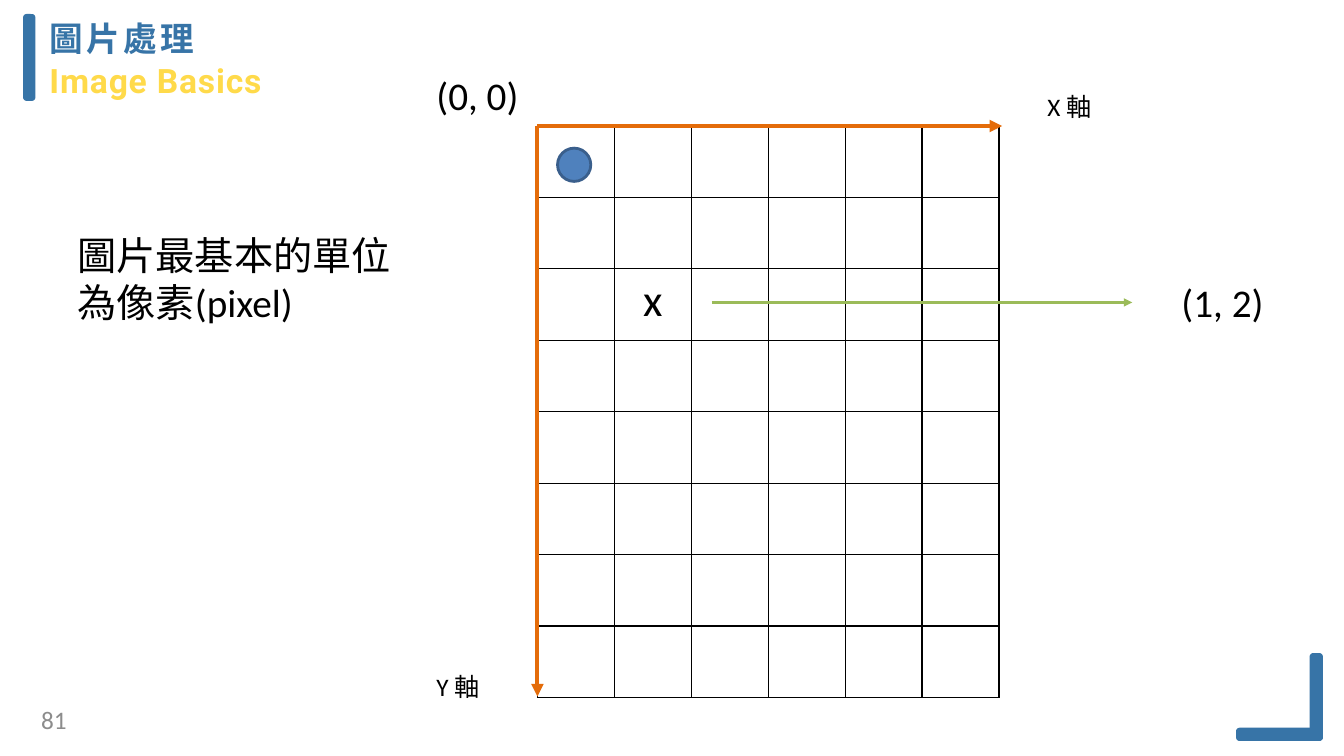
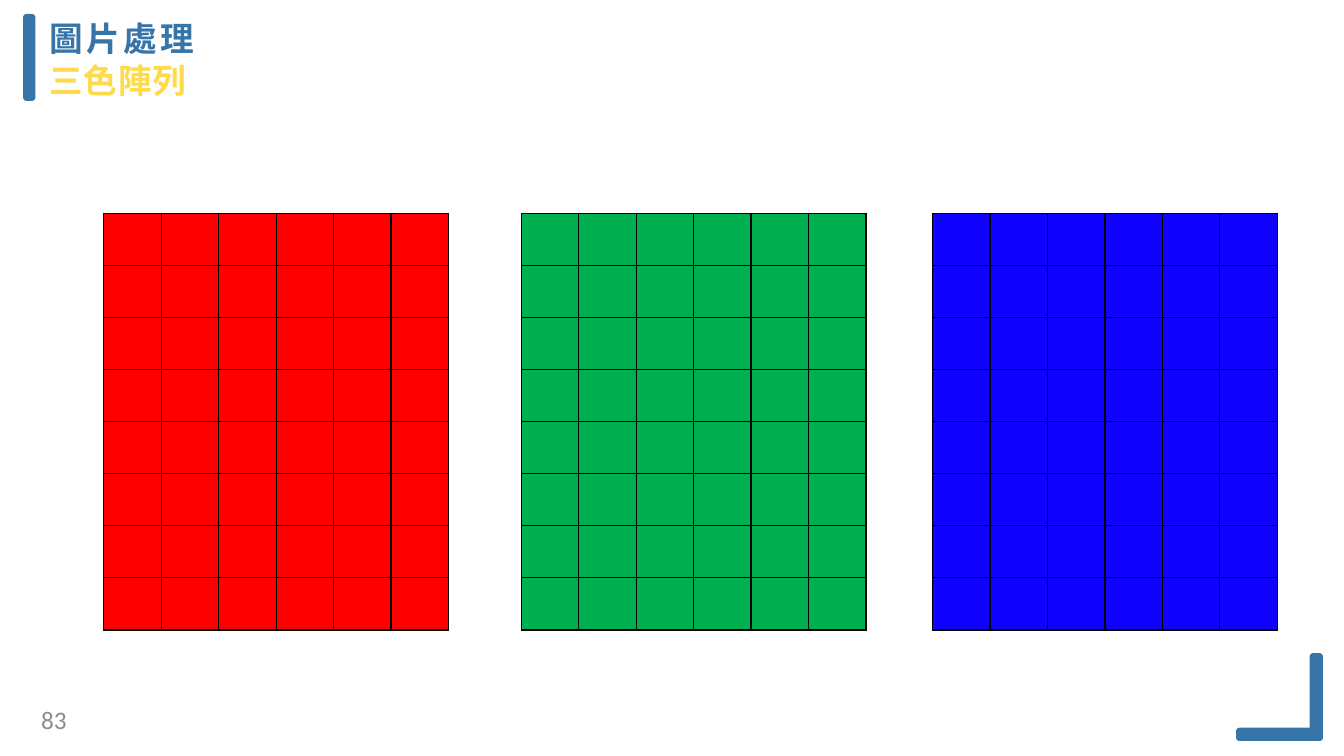
"""Build two slides on pixels and colour arrays."""
from lxml import etree
from pptx import Presentation
from pptx.dml.color import RGBColor
from pptx.enum import shapes, text
from pptx.oxml import ns
from pptx.util import Inches, Pt

BLUE = RGBColor(0x37, 0x74, 0xA7)
YELLOW = RGBColor(0xFF, 0xDA, 0x4A)
GREY = RGBColor(0x8C, 0x8C, 0x8C)
BLACK = RGBColor(0, 0, 0)
ORANGE = RGBColor(0xE4, 0x6C, 0x0A)
LIME = RGBColor(0x9B, 0xBB, 0x59)
DOT_FILL = RGBColor(0x4F, 0x81, 0xBD)
DOT_LINE = RGBColor(0x3A, 0x5F, 0x8C)
CHANNELS = {
    1.03: RGBColor(0xFF, 0, 0),
    5.17: RGBColor(0, 0xB0, 0x50),
    9.25: RGBColor(0x11, 0x01, 0xFE),
}
BARS = [(0.25, 0.16, 0.08, 0.82), (13.01, 6.5, 0.09, 0.83), (12.28, 7.24, 0.82, 0.09)]
ROWS, COLUMNS = 8, 6


class Deck:
    """Holds the shared style and the slide being built."""

    def __init__(self):
        self.deck = Presentation()
        self.deck.slide_width = Inches(13.33)
        self.deck.slide_height = Inches(7.5)
        self.page = None

    def add_page(self, heading, subheading, number):
        self.page = self.deck.slides.add_slide(self.deck.slide_layouts[5])
        self.title(heading, subheading)
        for bar in BARS:
            self.shape(shapes.MSO_SHAPE.ROUNDED_RECTANGLE, bar, BLUE, BLUE, 3)
        box = self.label(number, (0.08, 6.99, 0.58, 0.3), 18, GREY)
        frame = box.text_frame
        frame.margin_left = frame.margin_right = frame.margin_top = frame.margin_bottom = 0
        frame.paragraphs[0].alignment = text.PP_ALIGN.RIGHT

    def title(self, heading, subheading):
        box = self.page.shapes.title
        box.left, box.top, box.width, box.height = map(Inches, (0.48, 0.16, 4.52, 0.84))
        frame = box.text_frame
        frame.text = f"{heading}\n{subheading}"
        frame.word_wrap = True
        frame.auto_size = text.MSO_AUTO_SIZE.NONE
        frame.vertical_anchor = text.MSO_ANCHOR.TOP
        frame.margin_left = Inches(0.01)
        frame.margin_top = Inches(0.02)
        frame.margin_right = frame.margin_bottom = 0
        for para, color, spacing in zip(frame.paragraphs, (BLUE, YELLOW), (240, 60)):
            para.alignment = text.PP_ALIGN.LEFT
            span = para.runs[0]
            self.style(span.font, 24, color, "Roboto")
            span.font.bold = True
            span._r.get_or_add_rPr().set("spc", str(spacing))
        frame.paragraphs[1].space_before = Pt(1)

    def style(self, font, size, color, name="Calibri"):
        font.name = name
        font.size = Pt(size)
        font.color.rgb = color

    def label(self, words, place, size, color=BLACK):
        box = self.page.shapes.add_textbox(*map(Inches, place))
        box.text_frame.text = words
        box.text_frame.word_wrap = True
        self.style(box.text_frame.paragraphs[0].runs[0].font, size, color)
        return box

    def shape(self, kind, place, fill, line, width):
        shape = self.page.shapes.add_shape(kind, *map(Inches, place))
        shape.shadow.inherit = False
        shape.fill.solid()
        shape.fill.fore_color.rgb = fill
        shape.line.color.rgb = line
        shape.line.width = Pt(width)

    def arrow(self, start, end, color, width):
        arrow = self.page.shapes.add_connector(
            shapes.MSO_CONNECTOR.STRAIGHT, *map(Inches, start + end))
        arrow.line.color.rgb = color
        arrow.line.width = Pt(width)
        properties = arrow._element.spPr
        outline = properties.find(ns.qn("a:ln"))
        etree.SubElement(outline, ns.qn("a:tailEnd"), type="triangle")
        etree.SubElement(properties, ns.qn("a:effectLst"))

    def grid(self, place, fill=None):
        table = self.page.shapes.add_table(ROWS, COLUMNS, *map(Inches, place)).table
        table.first_row = table.horz_banding = False
        for cell in table.iter_cells():
            self.borders(cell)
            if fill is None:
                cell.fill.background()
            else:
                cell.fill.solid()
                cell.fill.fore_color.rgb = fill
        return table

    def borders(self, cell):
        properties = cell._tc.get_or_add_tcPr()
        for side in ("lnL", "lnR", "lnT", "lnB"):
            line = etree.SubElement(properties, ns.qn(f"a:{side}"), w=str(Pt(1)))
            solid = etree.SubElement(line, ns.qn("a:solidFill"))
            etree.SubElement(solid, ns.qn("a:srgbClr"), val=str(BLACK))


def add_pixel_page(deck):
    """Show the pixel grid with its axes and coordinates."""
    deck.add_page("圖片處理", "Image Basics", "81")
    left, top, width, height = 5.33, 1.25, 4.58, 5.67
    pixels = deck.grid((left, top, width, height))
    para = pixels.cell(2, 1).text_frame.paragraphs[0]
    para.text = "x"
    para.alignment = text.PP_ALIGN.CENTER
    deck.style(para.runs[0].font, 32, BLACK)
    deck.arrow((left, top), (9.94, top), ORANGE, 3)
    deck.arrow((left, top), (left, 6.91), ORANGE, 3)
    deck.label("X 軸", (10.29, 0.86, 0.75, 0.4), 18)
    deck.label("Y 軸", (4.23, 6.61, 0.75, 0.4), 18)
    deck.arrow((7.06, 3), (11.23, 3), LIME, 2)
    deck.label("(1, 2)", (11.62, 2.71, 1.13, 0.57), 28)
    deck.label("(0, 0)", (4.23, 0.66, 1.13, 0.57), 28)
    deck.shape(shapes.MSO_SHAPE.OVAL, (5.53, 1.47, 0.33, 0.33), DOT_FILL, DOT_LINE, 2)
    deck.label("圖片最基本的單位為像素(pixel)", (0.67, 2.25, 3.35, 1.04), 28)


def add_channel_page(deck):
    """Show one grid for each colour channel."""
    deck.add_page("圖片處理", "三色陣列", "83")
    for left, color in CHANNELS.items():
        deck.grid((left, 2.12, 3.42, 4.13), color)


def main():
    """Build and save the deck."""
    deck = Deck()
    add_pixel_page(deck)
    add_channel_page(deck)
    deck.deck.save("out.pptx")


if __name__ == "__main__":
    main()
